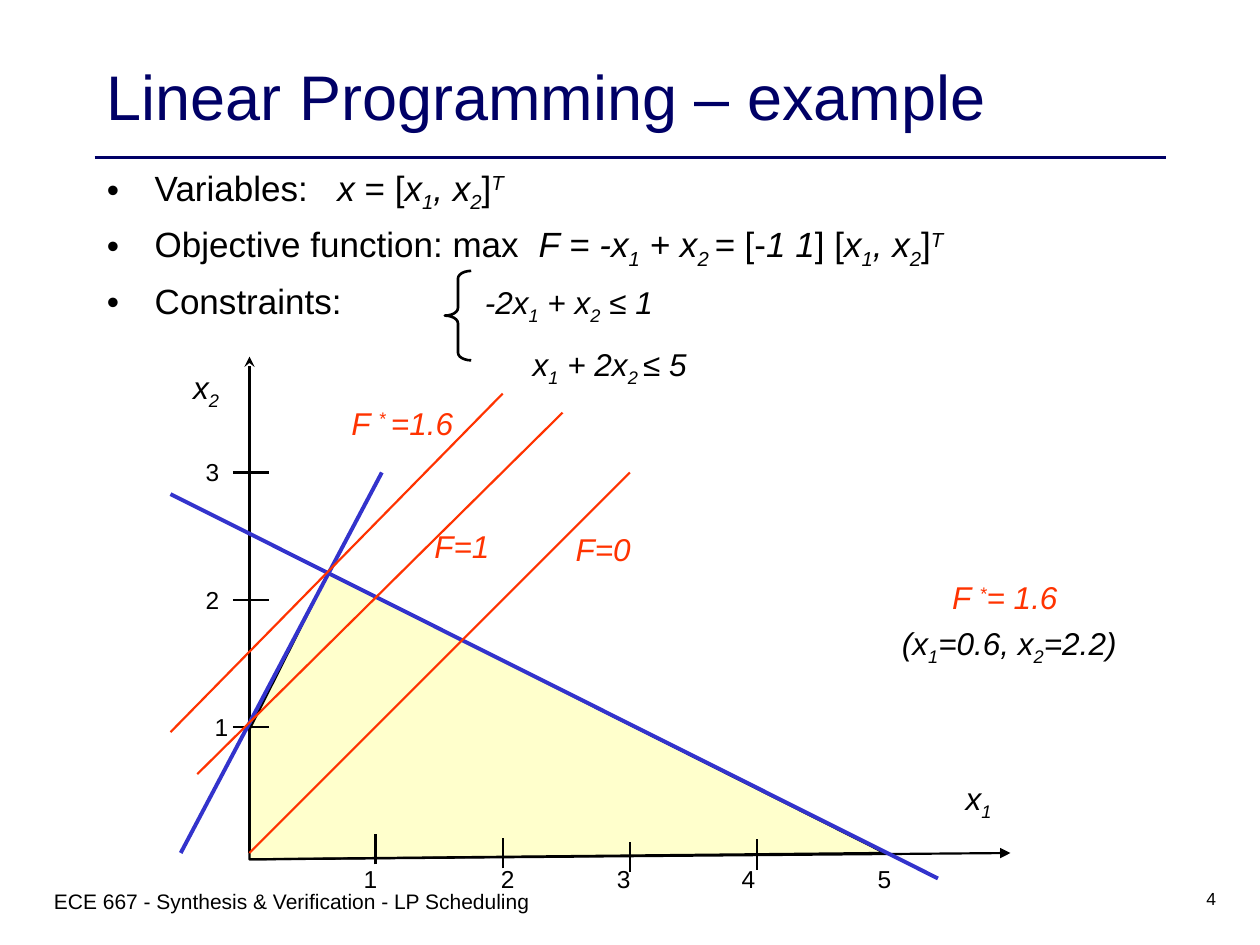
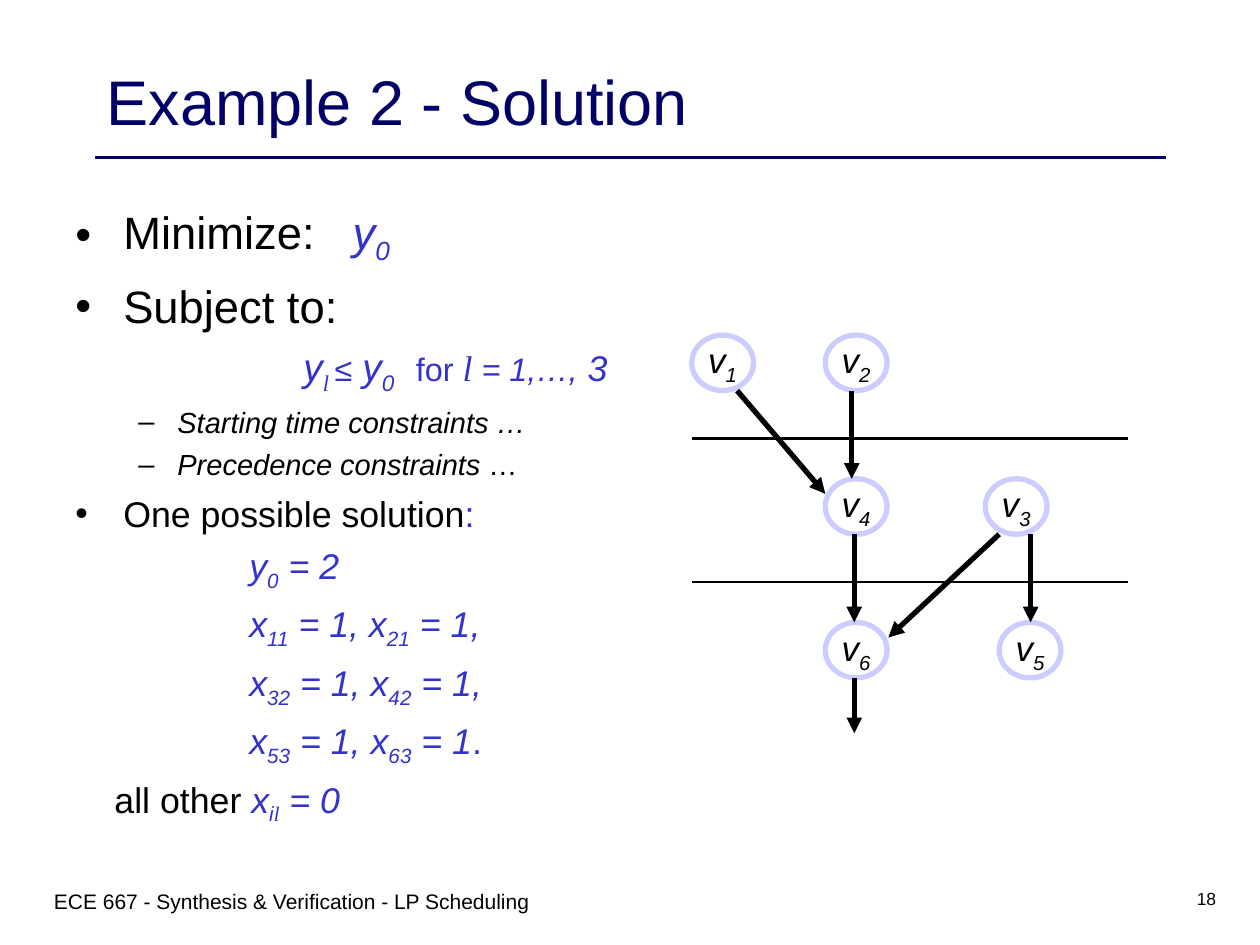
from lxml.etree import SubElement
from pptx import Presentation
from pptx.dml.color import RGBColor
from pptx.enum.shapes import MSO_CONNECTOR, MSO_SHAPE
from pptx.enum.text import MSO_ANCHOR, PP_ALIGN
from pptx.oxml.ns import qn
from pptx.util import Inches, Pt

NAVY = RGBColor(0x00, 0x00, 0x66)
BLUE = RGBColor(0x33, 0x33, 0xCC)
LAVENDER = RGBColor(0xCC, 0xCC, 0xFF)
RED = RGBColor(0xFF, 0x33, 0x00)
CREAM = RGBColor(0xFF, 0xFF, 0xCC)
BLACK = RGBColor(0x00, 0x00, 0x00)
WHITE = RGBColor(0xFF, 0xFF, 0xFF)
SANS = "Arial"
SERIF = "Times New Roman"
COURSE = "ECE 667 - Synthesis & Verification - LP Scheduling"
BASELINES = {"_": "-25000", "^": "30000"}


def write(paragraph, text, size=18, color=BLACK, font=SANS, align=PP_ALIGN.LEFT,
          before=0, spacing=None, bullet=None, margin=0, hang=0, tabs=()):
    """Pieces of text are split by |; a leading / is italic, _ subscript, ^ superscript."""
    paragraph.alignment = align
    paragraph.space_before = Pt(before)
    if spacing:
        paragraph.line_spacing = spacing
    properties = paragraph._p.get_or_add_pPr()
    properties.set("marL", str(Inches(margin)))
    properties.set("indent", str(-Inches(hang)))
    if bullet:
        tint = SubElement(properties, qn("a:buClr"))
        SubElement(tint, qn("a:srgbClr"), val=str(BLACK))
        SubElement(properties, qn("a:buFont"), typeface=SANS)
        SubElement(properties, qn("a:buChar"), char=bullet)
    else:
        SubElement(properties, qn("a:buNone"))
    if tabs:
        stops = SubElement(properties, qn("a:tabLst"))
        for stop in tabs:
            SubElement(stops, qn("a:tab"), pos=str(Inches(stop)), algn="l")
    pieces = [(text, {})] if isinstance(text, str) else text
    for markup, own in pieces:
        for piece in markup.split("|"):
            mark = piece[0] if piece[0] in "/_^" else ""
            run = paragraph.add_run()
            run.text = piece[len(mark):]
            run.font.size = Pt(own.get("size", size))
            run.font.name = own.get("font", font)
            run.font.color.rgb = own.get("color", color)
            run.font.italic = bool(mark)
            if mark in BASELINES:
                run.font._element.set("baseline", BASELINES[mark])


def add_text(slide, box, paragraphs, wrap=True, anchor=MSO_ANCHOR.TOP, **shared):
    frame = slide.shapes.add_textbox(*map(Inches, box)).text_frame
    frame.word_wrap = wrap
    frame.vertical_anchor = anchor
    for index, (text, own) in enumerate(paragraphs):
        paragraph = frame.add_paragraph() if index else frame.paragraphs[0]
        write(paragraph, text, **{**shared, **own})


def add_line(slide, start, end, color=BLACK, width=1.25, arrow=None):
    line = slide.shapes.add_connector(MSO_CONNECTOR.STRAIGHT, *map(Inches, (*start, *end)))
    line.line.color.rgb = color
    line.line.width = Pt(width)
    if arrow:
        SubElement(line.line._get_or_add_ln(), qn("a:tailEnd"), type=arrow)
    SubElement(line._element.spPr, qn("a:effectLst"))


def paint(shape, fill, outline, width):
    shape.shadow.inherit = False
    if fill is None:
        shape.fill.background()
    else:
        shape.fill.solid()
        shape.fill.fore_color.rgb = fill
    shape.line.color.rgb = outline
    shape.line.width = Pt(width)


def start_slide(deck, title, number, spacing=None):
    slide = deck.slides.add_slide(deck.slide_layouts[6])
    add_line(slide, (0.75, 1.25), (9.25, 1.25), NAVY, 2.25)
    add_text(slide, (0.75, 0.17, 8.5, 1.25), [(title, {})],
             anchor=MSO_ANCHOR.MIDDLE, size=36, color=NAVY, spacing=spacing)
    add_text(slide, (0.33, 7, 4.5, 0.5), [(COURSE, {})], size=12)
    add_text(slide, (7.67, 7, 2.08, 0.5), [(number, {})], size=10, align=PP_ALIGN.RIGHT)
    return slide


def add_problem(slide, box):
    item = dict(bullet="•", margin=0.38, hang=0.38)
    add_text(slide, box, [
        ("Variables:   |/x |= [|/x|_1|/, x|_2|]|^T", item),
        ("Objective function: max  |/F = -x|_1|/ + x|_2 |/= |[-|/1 1|] [|/x|_1|/, x|_2|]|^T", item),
        ([("Constraints:   \t", {}), ("/-2x|_1|/ + x|_2|/ ≤ 1", {"size": 18})],
         dict(item, tabs=range(1, 9))),
        ("/x|_1|/ + 2x|_2 |/≤ 5", dict(size=18, margin=3.38, before=11)),
    ], size=20, before=5)
    left, top = box[:2]
    brace = slide.shapes.add_shape(MSO_SHAPE.LEFT_BRACE, *map(
        Inches, (left + 2.78, top + 0.88, 0.21, 0.71)))
    brace.adjustments[0] = 0.29
    paint(brace, None, BLACK, 1.5)


def add_plot(slide, origin, unit):
    def point(x, y):
        return origin[0] + x * unit, origin[1] - y * unit

    def label(x, y, text, width, height, **style):
        center, middle = point(x, y)
        add_text(slide, (center - width / 2, middle - height / 2, width, height),
                 [(text, {})], wrap=False, align=PP_ALIGN.CENTER, **style)

    corners = [tuple(map(Inches, point(*corner)))
               for corner in ((0, -0.05), (0, 0.97), (0.62, 2.2), (4.99, 0))]
    outline = slide.shapes.build_freeform(*corners[0], scale=1.0)
    outline.add_line_segments(corners[1:], close=True)
    paint(outline.convert_to_shape(), CREAM, BLACK, 1.25)

    add_line(slide, point(0, -0.05), point(5.98, 0), arrow="triangle")
    add_line(slide, point(0, 0), point(0, 3.9), arrow="stealth")
    for value, tick_middle in enumerate((0.03, 0, -0.03, -0.01), 1):
        add_line(slide, point(value - 0.01, tick_middle - 0.12),
                 point(value - 0.01, tick_middle + 0.12))
    for value, x in enumerate((0.95, 2.03, 2.94, 3.92, 4.99), 1):
        label(x, -0.21, str(value), 0.4, 0.34, size=14, before=3.5)
    for value, x in enumerate((-0.22, -0.29, -0.29), 1):
        add_line(slide, point(-0.13, value - 0.01), point(0.15, value - 0.01))
        label(x, value - 0.01, str(value), 0.4, 0.34, size=14, before=3.5)
    label(5.73, 0.41, "/x|_1", 0.6, 0.44, before=4.5)
    label(-0.34, 3.64, "/x|_2", 0.6, 0.44, before=4.5)

    for start, end in (((5.41, -0.2), (-0.62, 2.82)), ((-0.54, 0), (1.04, 2.99))):
        add_line(slide, point(*start), point(*end), BLUE, 2.25)
    for start, end in (((0, 0), (2.99, 2.99)), ((-0.41, 0.62), (2.46, 3.46)),
                       ((-0.62, 0.95), (1.99, 3.61))):
        add_line(slide, point(*start), point(*end), RED)
    for x, y, text, width in ((2.78, 2.39, "/F=0", 0.8), (1.67, 2.41, "/F=1", 0.8),
                              (1.2, 3.38, "/F |^* |/=1.6", 1.2)):
        label(x, y, text, width, 0.4, color=RED, before=4.5)


def add_optimum(slide, box):
    add_text(slide, box, [
        ("/F |^*|/= 1.6 ", {"color": RED}),
        ("/(x|_1|/=0.6, x|_2|/=2.2)", {}),
    ], wrap=False, align=PP_ALIGN.CENTER, before=4.5)


def add_solution(slide, box):
    item = dict(bullet="•", margin=0.38, hang=0.38)
    goal = dict(item, size=25.9, before=7)
    detail = dict(bullet="–", margin=0.81, hang=0.31, size=16.6, before=4.5)
    result = dict(margin=1.38, color=BLUE)
    blue, serif = {"color": BLUE}, {"color": BLUE, "font": SERIF}
    small = {"size": 18.5}
    medium = {"size": 20.4}
    add_text(slide, box, [
        ([("Minimize:   ", {}), ("/y|_0", blue)], goal),
        ("Subject to:", goal),
        ([("/y", {}), ("_l ", serif), ("/≤", small), ("/ ", medium), ("/y|_0|/  ", {}),
          ("for ", small), ("/l ", dict(serif, **medium)), ("/= 1,…,", small), ("/ 3", medium)],
         dict(margin=1.81, size=22.2, color=BLUE, before=6)),
        ("/Starting time constraints …", detail),
        ("/Precedence constraints| …", detail),
        ([("One possible solution", {}), (":", blue)], item),
        ("/y|_0|/ = 2", result),
        ("/x|_11|/ = 1, x|_21|/ = 1,", result),
        ("/x|_32|/ = 1, x|_42|/ = 1,", result),
        ("/x|_53|/ = 1, x|_63|/ = 1|.", result),
        ([("all other ", {}), ("/x|_i", blue), ("_l", serif), ("/ = 0", blue)],
         dict(margin=0.31)),
    ], size=20.4, before=5.5)


def add_schedule(slide, left, top):
    width, height, step = 0.49, 0.44, 1.14
    for index, x, row in ((1, 0, 0), (2, 1.06, 0), (3, 2.33, 1),
                          (4, 1.06, 1), (6, 1.06, 2), (5, 2.44, 2)):
        vertex = slide.shapes.add_shape(MSO_SHAPE.OVAL, *map(
            Inches, (left + x, top + row * step, width, height)))
        paint(vertex, WHITE, LAVENDER, 3)
        vertex.text_frame.word_wrap = False
        vertex.text_frame.vertical_anchor = MSO_ANCHOR.MIDDLE
        write(vertex.text_frame.paragraphs[0], f"/v|_{index}", size=20, align=PP_ALIGN.CENTER)
    below = [top + row * step + height for row in range(3)]
    for x1, y1, x2, y2 in ((1.27, below[0], 1.27, top + step),
                           (0.36, below[0], 1.06, top + step + 0.12),
                           (1.29, below[1], 1.29, top + 2 * step),
                           (2.69, below[1], 2.69, top + 2 * step),
                           (2.44, below[1], 1.56, top + 2 * step + 0.12),
                           (1.29, below[2], 1.29, below[2] + 0.44)):
        add_line(slide, (left + x1, y1), (left + x2, y2), width=3, arrow="triangle")
    for row in range(2):
        boundary = top + 0.82 + row * step
        add_line(slide, (left, boundary), (left + 3.46, boundary))


def main():
    deck = Presentation()
    deck.slide_width, deck.slide_height = Inches(10), Inches(7.5)

    example = start_slide(deck, "Linear Programming – example", "4", spacing=0.9)
    add_problem(example, (0.75, 1.27, 8.67, 2.23))
    add_plot(example, origin=(1.98, 6.77), unit=1.01)
    add_optimum(example, (6.91, 4.54, 2.2, 0.81))

    solution = start_slide(deck, "Example 2 - Solution", "18")
    add_solution(solution, (0.5, 1.57, 4.75, 5.02))
    add_schedule(solution, 5.49, 2.66)

    deck.save("out.pptx")


if __name__ == "__main__":
    main()
